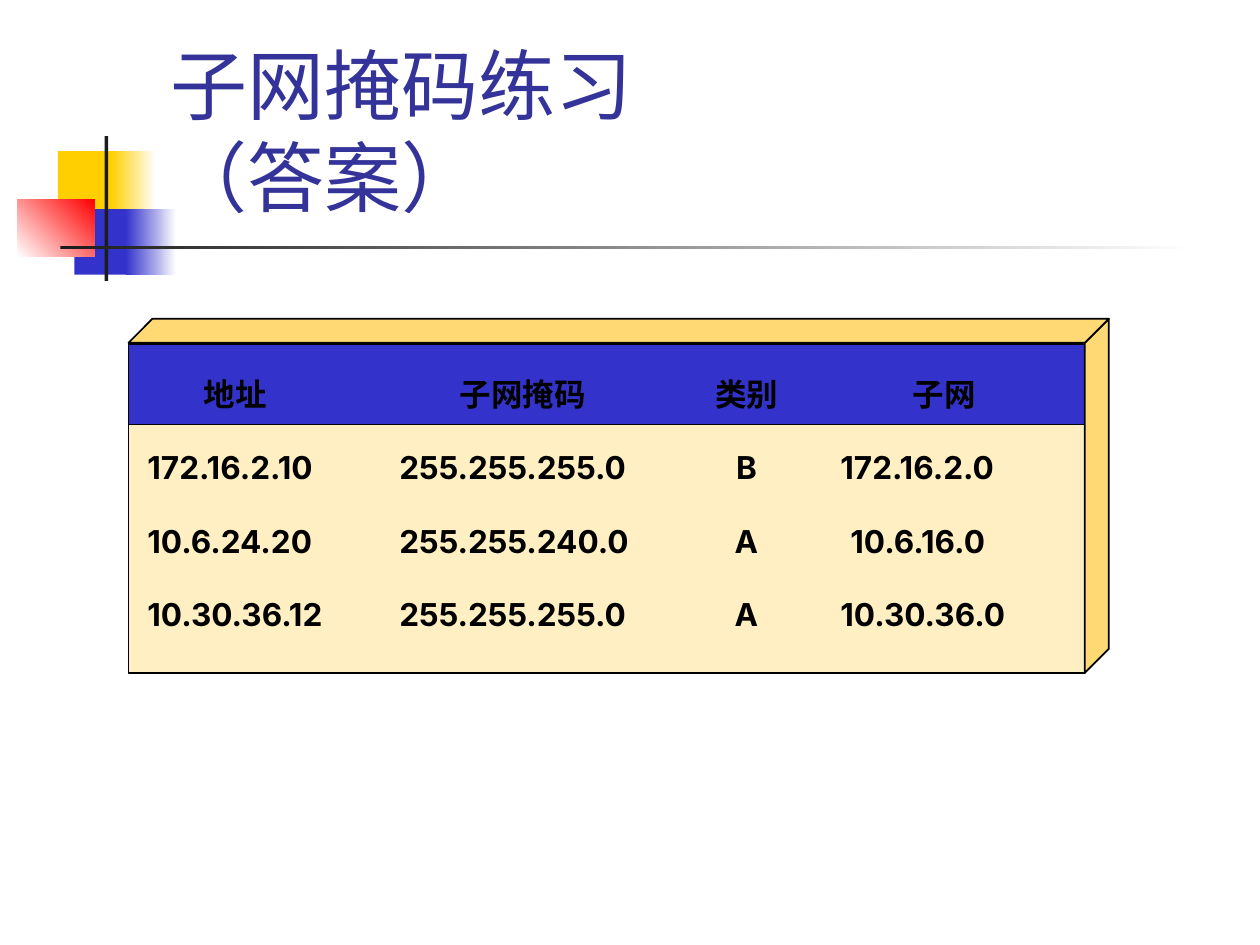
from lxml.etree import SubElement
from pptx import Presentation
from pptx.dml.color import RGBColor
from pptx.enum.shapes import MSO_SHAPE
from pptx.enum.text import MSO_ANCHOR, PP_ALIGN
from pptx.oxml.ns import qn
from pptx.util import Emu, Pt

PX = 9144
LEFT, CENTER = PP_ALIGN.LEFT, PP_ALIGN.CENTER


def rgb(color):
    return RGBColor.from_string(color)


class Deck:
    """Hold the text style and the current slide, and draw elements on it in px."""

    latin, east_asian, size, bold, color = "Inter", "Inter", 18, True, "000000"

    def __init__(self, prs):
        self.slide = prs.slides.add_slide(prs.slide_layouts[6])

    def finish(self, sp, fill, line=None, angle=0):
        sp.shadow.inherit = False
        if isinstance(fill, tuple):
            sp.fill.gradient()
            sp.fill.gradient_angle = angle
            for stop, color in zip(sp.fill.gradient_stops, fill):
                stop.color.rgb = rgb(color)
        else:
            sp.fill.solid()
            sp.fill.fore_color.rgb = rgb(fill)
        if line:
            sp.line.color.rgb = rgb(line)
            sp.line.width = Pt(1)
        else:
            sp.line.fill.background()

    def rect(self, box, fill, **style):
        sp = self.slide.shapes.add_shape(MSO_SHAPE.RECTANGLE, *(Emu(v * PX) for v in box))
        self.finish(sp, fill, **style)

    def polygon(self, points, fill, **style):
        builder = self.slide.shapes.build_freeform(*points[0], scale=PX)
        builder.add_line_segments(points[1:], close=True)
        self.finish(builder.convert_to_shape(), fill, **style)

    def text(self, box, text, align=LEFT, spacing=0.95, inset=(0, 0), shadow=None, **style):
        tf = self.slide.shapes.add_textbox(*(Emu(v * PX) for v in box)).text_frame
        x, y = (Emu(v * PX) for v in inset)
        frame = dict(word_wrap=True, vertical_anchor=MSO_ANCHOR.MIDDLE,
                     margin_left=x, margin_right=x, margin_top=y, margin_bottom=y)
        for name, value in frame.items():
            setattr(tf, name, value)
        p = tf.paragraphs[0]
        p.text = text
        p.alignment = align
        p.line_spacing = spacing
        font = dict(name=self.latin, size=Pt(self.size), bold=self.bold) | style
        color = font.pop("color", self.color)
        for r in p.runs:
            r.font.color.rgb = rgb(color)
            if shadow:
                self.text_shadow(r, shadow)
            for name, value in font.items():
                setattr(r.font, name, value)
            latin = r.font._element.find(qn("a:latin"))
            ea = latin.makeelement(qn("a:ea"), typeface=self.east_asian)
            latin.addnext(ea)

    def text_shadow(self, r, color):
        effects = SubElement(r.font._element, qn("a:effectLst"))
        outer = SubElement(effects, qn("a:outerShdw"), dist="35921", dir="2700000")
        SubElement(outer, qn("a:srgbClr"), val=color)


def draw_ornament(deck):
    yellow, blue, red, dark, white = "FFCF01", "3333CC", "FF0000", "1C1C1C", "FFFFFF"
    deck.rect((46, 120, 48, 52), yellow)
    deck.rect((88, 120, 36, 52), (yellow, white))
    deck.rect((59, 166, 46, 52), blue)
    deck.rect((100, 166, 40, 52), (blue, white))
    deck.rect((14, 158, 61, 46), (white, red), angle=45)
    deck.rect((83, 108, 3, 115), dark)
    deck.rect((48, 195, 900, 3), (dark, white))


def draw_block(deck):
    left, right, top, bottom, depth = 102, 861, 272, 534, 19
    back, edge, line = top - depth, right + depth, "000000"
    deck.rect((left, 282, right - left, 252), "FFEFC2", line=line)
    deck.rect((left, 273, right - left, 64), "3333CC", line=line)
    side = [(edge, back), (right, top), (right, bottom), (edge, bottom - depth)]
    lid = [(left, top), (left + depth, back), (edge, back), (right, top)]
    for points in (side, lid):
        deck.polygon(points, "FFDA74", line=line)


def draw_answers(deck):
    height, row_tops = 28, (358, 417, 475)
    headers = [("地址", 107, 159), ("子网掩码", 325, 180), ("类别", 512, 161), ("子网", 672, 155)]
    columns = [
        (117, 210, LEFT, ("172.16.2.10", "10.6.24.20", "10.30.36.12")),
        (317, 203, LEFT, ("255.255.255.0", "255.255.240.0", "255.255.255.0")),
        (511, 163, CENTER, ("B", "A", "A")),
        (667, 166, LEFT, ("172.16.2.0", "10.6.16.0", "10.30.36.0")),
    ]
    indents = {"10.6.16.0": 8}
    for header, left, width in headers:
        deck.text((left, 300, width, height), header, CENTER)
    for left, width, align, values in columns:
        for top, value in zip(row_tops, values):
            deck.text((left + indents.get(value, 0), top, width, height), value, align)


def main():
    prs = Presentation()
    prs.slide_width, prs.slide_height = Emu(1000 * PX), Emu(750 * PX)
    deck = Deck(prs)
    draw_ornament(deck)
    deck.text((126, 23, 852, 160), "子网掩码练习\v（答案）", spacing=1.0, inset=(9, 4),
              shadow="1C1C1C", name="Noto Sans", size=Pt(44), bold=False, color="333399")
    draw_block(deck)
    draw_answers(deck)
    prs.save("out.pptx")


if __name__ == "__main__":
    main()
